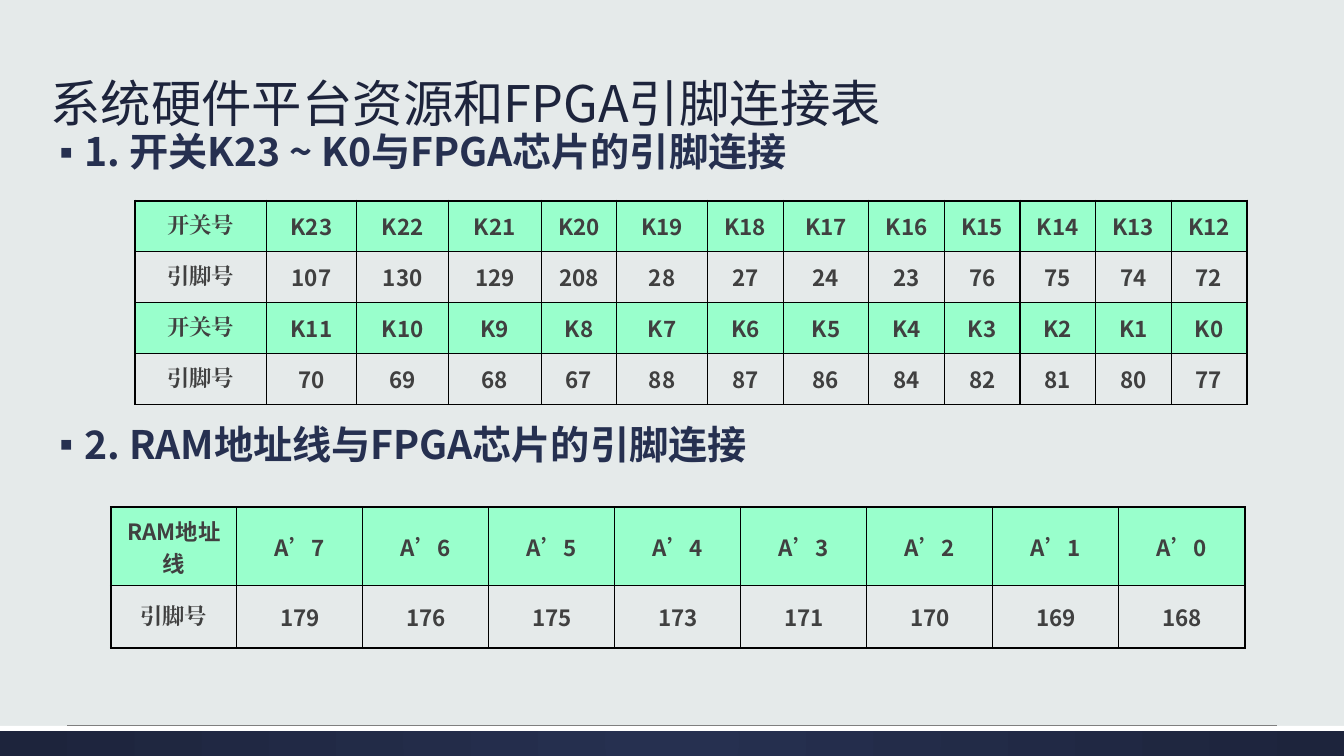
"""Build the slide listing FPGA pin connections for switches and RAM address lines."""
from lxml.etree import SubElement as Sub
from pptx import Presentation
from pptx.dml.color import RGBColor as RGB
from pptx.enum.shapes import MSO_CONNECTOR as CONN, MSO_SHAPE as SHAPE
from pptx.enum.text import MSO_ANCHOR as ANCHOR, MSO_AUTO_SIZE as AUTO, PP_ALIGN as ALIGN
from pptx.oxml.ns import qn
from pptx.util import Pt

TITLE = "系统硬件平台资源和FPGA引脚连接表"
HEADINGS = [
    ("1. 开关K23 ~ K0与FPGA芯片的引脚连接", 0),
    ("2. RAM地址线与FPGA芯片的引脚连接", 178.5),
]
SANS, SERIF = "Noto Sans CJK SC", "Times New Roman"
SWITCH, PIN = [("开关号", SERIF)], [("引脚号", SERIF)]
ADDRESS = [("RAM", SANS), ("地址线", SERIF)]
TABLES = [
    {
        "at": (96.5, 143.3),
        "cols": [93.6, 64.8, 65.5, 66.2, 54, 64.8, 54, 61.2] + [54] * 5,
        "rows": [36.4] * 4,
        "data": [
            (SWITCH, [f"K{n}" for n in range(23, 11, -1)]),
            (PIN, [107, 130, 129, 208, 28, 27, 24, 23, 76, 75, 74, 72]),
            (SWITCH, [f"K{n}" for n in range(11, -1, -1)]),
            (PIN, [70, 69, 68, 67, 88, 87, 86, 84, 82, 81, 80, 77]),
        ],
    },
    {
        "at": (79.2, 362.2),
        "cols": [90] * 9,
        "rows": [56.2, 44.6],
        "data": [
            (ADDRESS, [f"A’{n}" for n in range(7, -1, -1)]),
            (PIN, [179, 176, 175, 173, 171, 170, 169, 168]),
        ],
    },
]
COLORS = {
    "back": "E5EAEA", "navy": "263050", "dark": "1D243C", "white": "FFFFFF",
    "mint": "99FFCC", "text": "404040", "border": "000000", "rule": "7F7F7F",
}
WIDTH, HEIGHT = 960, 540
BAND_TOP = 518.4


def rgb(name):
    return RGB.from_string(COLORS[name])


def set_font(p, size, color, bold, name=SANS):
    f = p.font
    f.size, f.bold, f.name = Pt(size), bold, name
    f.color.rgb = rgb(color)
    Sub(p._p.pPr.find(qn("a:defRPr")), qn("a:ea"), typeface=name)


def place(sp, left, top, width, height, anchor):
    sp.left, sp.top, sp.width, sp.height = Pt(left), Pt(top), Pt(width), Pt(height)
    tf = sp.text_frame
    tf.auto_size, tf.word_wrap, tf.vertical_anchor = AUTO.NONE, True, anchor
    tf.margin_left = tf.margin_right = Pt(7.2)
    tf.margin_top = tf.margin_bottom = 0
    return tf


def add_bullet(p):
    pPr = p._p.get_or_add_pPr()
    pPr.set("marL", str(Pt(21.6)))
    pPr.set("indent", str(Pt(-18)))
    Sub(Sub(pPr, qn("a:buClr")), qn("a:srgbClr"), val=COLORS["navy"])
    Sub(pPr, qn("a:buChar"), char="▪")


def add_band(slide, top, height):
    sp = slide.shapes.add_shape(SHAPE.RECTANGLE, 0, Pt(top), Pt(WIDTH), Pt(height))
    sp.shadow.inherit = False
    sp.line.fill.background()
    return sp


def add_footer(slide):
    sp = add_band(slide, BAND_TOP, HEIGHT - BAND_TOP)
    sp.fill.gradient()
    for stop, name in zip(sp.fill.gradient_stops, ("navy", "dark")):
        stop.color.rgb = rgb(name)
    grad = sp._element.spPr.find(qn("a:gradFill"))
    grad.remove(grad.find(qn("a:lin")))
    circle = Sub(grad, qn("a:path"), path="circle")
    Sub(circle, qn("a:fillToRect"), l="50000", t="50000", r="50000", b="50000")

    strip = add_band(slide, BAND_TOP, 3.6)
    strip.fill.solid()
    strip.fill.fore_color.rgb = rgb("white")

    y = Pt(BAND_TOP - 0.5)
    rule = slide.shapes.add_connector(CONN.STRAIGHT, Pt(48), y, Pt(912), y)
    rule.line.width = Pt(0.75)
    rule.line.color.rgb = rgb("rule")
    Sub(rule._element.spPr, qn("a:effectLst"))


def set_borders(cell, widths):
    tcPr = cell._tc.get_or_add_tcPr()
    for side, width in zip("LRTB", widths):
        ln = Sub(tcPr, qn(f"a:ln{side}"), w=str(Pt(width)))
        Sub(Sub(ln, qn("a:solidFill")), qn("a:srgbClr"), val=COLORS["border"])


def fill_cell(cell, runs, is_header):
    cell.margin_left = cell.margin_right = Pt(7.2)
    cell.margin_top = cell.margin_bottom = 0
    cell.vertical_anchor = ANCHOR.MIDDLE
    if is_header:
        cell.fill.solid()
        cell.fill.fore_color.rgb = rgb("mint")
    else:
        cell.fill.background()
    p = cell.text_frame.paragraphs[0]
    p.alignment = ALIGN.CENTER
    set_font(p, 16, "text", True, runs[0][1])
    for text, name in runs:
        r = p.add_run()
        r.text = text
        if len(runs) > 1:
            r.font.name = name


def add_pin_table(slide, at, cols, rows, data):
    frame = slide.shapes.add_table(
        len(rows), len(cols), Pt(at[0]), Pt(at[1]), Pt(sum(cols)), Pt(sum(rows)))
    table = frame.table
    table.first_row = table.horz_banding = False
    for col, width in zip(table.columns, cols):
        col.width = Pt(width)
    for row, height in zip(table.rows, rows):
        row.height = Pt(height)
    for i, (label, values) in enumerate(data):
        is_header = i % 2 == 0
        for j, runs in enumerate([label] + [[(str(v), SANS)] for v in values]):
            thick = (j == 0, j == len(cols) - 1, is_header, not is_header)
            cell = table.cell(i, j)
            set_borders(cell, [1.5 if t else 1 for t in thick])
            fill_cell(cell, runs, is_header)


def main():
    prs = Presentation()
    prs.slide_width, prs.slide_height = Pt(WIDTH), Pt(HEIGHT)
    s = prs.slides.add_slide(prs.slide_layouts[1])
    s.background.fill.solid()
    s.background.fill.fore_color.rgb = rgb("back")
    add_footer(s)

    tf = place(s.shapes.title, 28.8, 37.4, 928, 57.6, ANCHOR.BOTTOM)
    tf.text = TITLE
    p = tf.paragraphs[0]
    p.alignment, p.line_spacing = ALIGN.LEFT, 0.9
    set_font(p, 36, "dark", False)

    tf = place(s.placeholders[1], 31.7, 95, 896.4, 385.2, ANCHOR.TOP)
    tf.text = "\n".join(text for text, gap in HEADINGS)
    for p, (text, gap) in zip(tf.paragraphs, HEADINGS):
        add_bullet(p)
        p.line_spacing, p.space_before = 0.9, Pt(gap)
        set_font(p, 28, "navy", True)

    for table in TABLES:
        add_pin_table(s, **table)
    prs.save("out.pptx")


if __name__ == "__main__":
    main()
